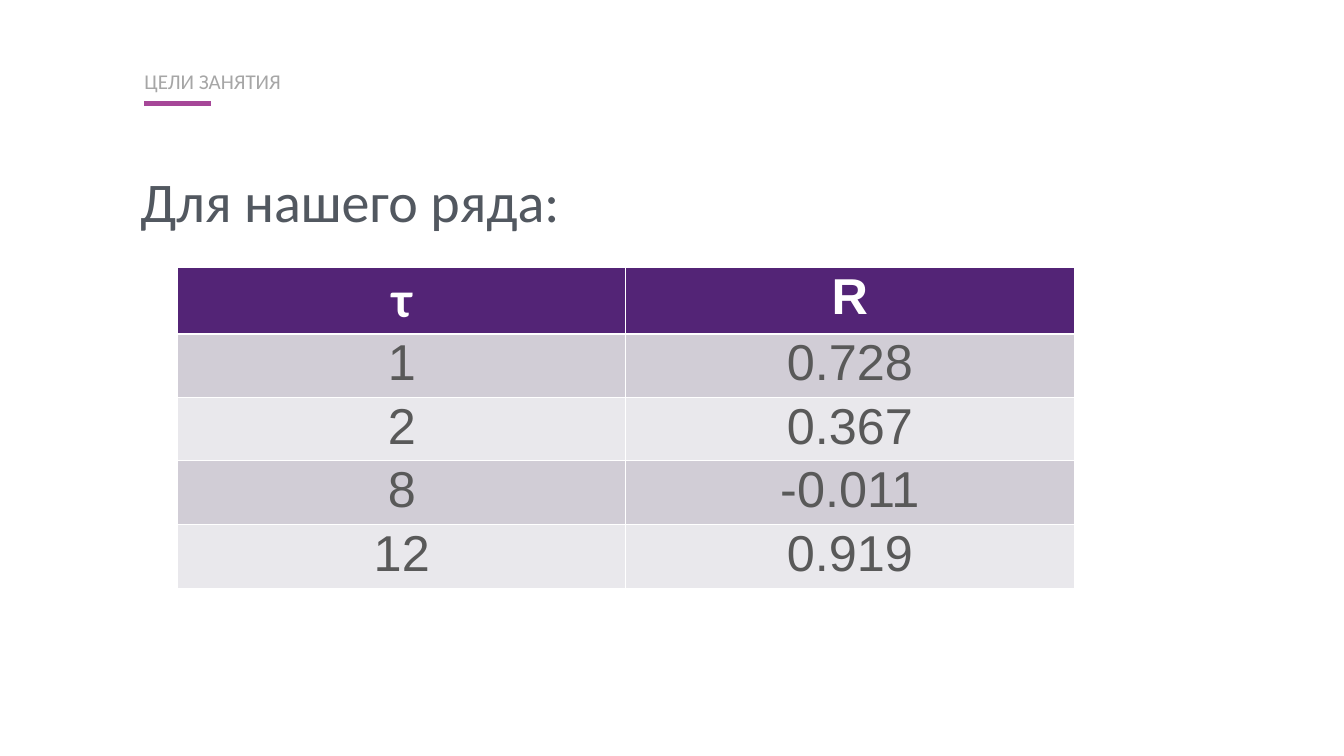
from lxml import etree
from pptx import Presentation
from pptx import util as u
from pptx.dml.color import RGBColor
from pptx.enum import shapes, text
from pptx.oxml.ns import qn


def color(value):
    return RGBColor.from_string(value)


class Deck:
    COLS, ROWS = 40, 40
    BODY_FONT, TABLE_FONT = "Calibri", "Arial"
    TITLE, LABEL, ACCENT, WHITE = "525860", "A6A6A6", "A64798", "FFFFFF"
    HEADER, CELL_TEXT, BANDS = "532476", "595959", ("D1CDD6", "E9E8EC")

    def __init__(self, width, height):
        self.prs = Presentation()
        self.prs.slide_width, self.prs.slide_height = u.Inches(width), u.Inches(height)
        self.slide = self.prs.slides.add_slide(self.prs.slide_layouts[6])

    def x(self, cols):
        return round(self.prs.slide_width * cols / self.COLS)

    def y(self, rows):
        return round(self.prs.slide_height * rows / self.ROWS)

    def style(self, p, size, fill, font, bold=False):
        p.font.size, p.font.name, p.font.bold = u.Pt(size), font, bold
        p.font.color.rgb = color(fill)

    def text(self, words, left, top, width, height, size, fill):
        sp = self.slide.shapes.add_textbox(
            self.x(left), self.y(top), self.x(width), self.y(height))
        tf = sp.text_frame
        tf.word_wrap = True
        tf.margin_left = tf.margin_right = tf.margin_top = tf.margin_bottom = u.Inches(0.06)
        p = tf.paragraphs[0]
        p.text, p.line_spacing = words, 1.3
        self.style(p, size, fill, self.BODY_FONT)

    def rule(self, left, top, width, weight):
        ln = self.slide.shapes.add_connector(
            shapes.MSO_CONNECTOR.STRAIGHT,
            self.x(left), self.y(top), self.x(left + width), self.y(top))
        ln.line.color.rgb, ln.line.width = color(self.ACCENT), u.Pt(weight)
        etree.SubElement(ln._element.spPr, qn("a:effectLst"))

    def borders(self, cell, bottom):
        pr = cell._tc.get_or_add_tcPr()
        for side, weight in zip("LRTB", (1, 1, 1, bottom)):
            ln = etree.SubElement(pr, qn(f"a:ln{side}"), w=str(u.Pt(weight)))
            fill = etree.SubElement(ln, qn("a:solidFill"))
            etree.SubElement(fill, qn("a:srgbClr"), val=self.WHITE)

    def cell(self, cell, words, header, band, font):
        self.borders(cell, 3 if header else 1)
        cell.fill.solid()
        cell.fill.fore_color.rgb = color(self.HEADER if header else band)
        cell.margin_top = cell.margin_bottom = u.Inches(0.03)
        p = cell.text_frame.paragraphs[0]
        p.text, p.alignment = words, text.PP_ALIGN.CENTER
        self.style(p, 72, self.WHITE if header else self.CELL_TEXT, font, header)

    def table(self, data, left, top, width, header_height, row_height):
        heights = [header_height] + [row_height] * (len(data) - 1)
        table = self.slide.shapes.add_table(
            len(data), len(data[0]), self.x(left), self.y(top),
            self.x(width), self.y(sum(heights))).table
        for i, (values, height) in enumerate(zip(data, heights)):
            table.rows[i].height = self.y(height)
            for j, value in enumerate(values):
                font = self.BODY_FONT if value == "τ" else self.TABLE_FONT
                self.cell(table.cell(i, j), value, i == 0, self.BANDS[(i - 1) % 2], font)


def main():
    deck = Deck(26.67, 15)
    deck.text("Для нашего ряда:", 4.09, 7.6, 31.77, 4.96, 80, deck.TITLE)
    deck.rule(4.29, 5.49, 2, 7)
    deck.text("ЦЕЛИ ЗАНЯТИЯ", 4.21, 3.04, 31.77, 1.87, 30, deck.LABEL)
    data = [("τ", "R"), ("1", "0.728"), ("2", "0.367"), ("8", "-0.011"), ("12", "0.919")]
    deck.table(data, 5.29, 14.16, 26.67, 3.5, 3.25)
    deck.prs.save("out.pptx")


if __name__ == "__main__":
    main()
